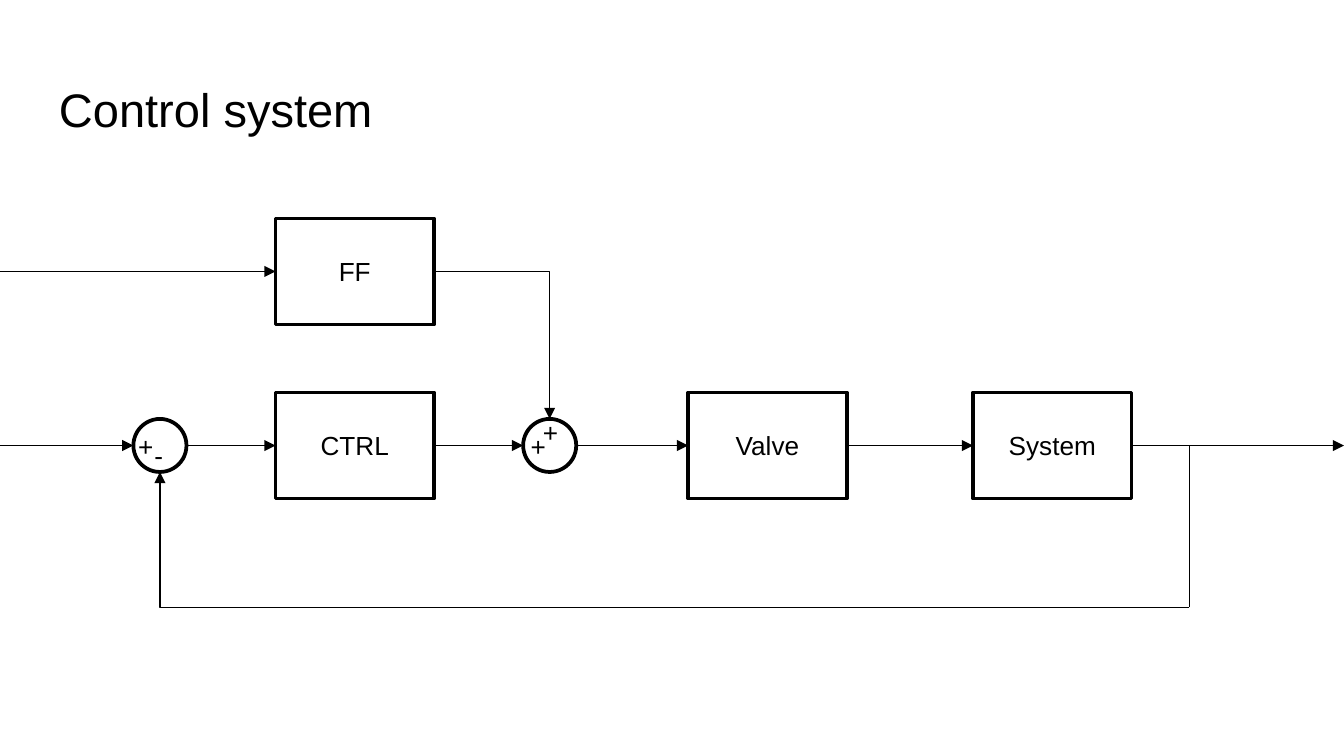
import pptx
import pptx.dml.color
import pptx.enum.shapes
import pptx.enum.text
import pptx.oxml
import pptx.oxml.ns
import pptx.util

BLACK = pptx.dml.color.RGBColor(0x00, 0x00, 0x00)
WHITE = pptx.dml.color.RGBColor(0xFF, 0xFF, 0xFF)
COLUMNS, ROWS = 100, 56.25
CELL = pptx.util.Inches(0.1)
BLOCK_WIDTH, BLOCK_HEIGHT, SUM_SIZE = 11.8, 7.9, 3.95
FORWARD_ROW, MAIN_ROW, RETURN_ROW = 20.2, 33.15, 45.2
ERROR_SUM, FORWARD_SUM, BRANCH = 11.9, 40.9, 88.5
CONTROL, VALVE, SYSTEM = 20.5, 51.2, 72.4


class Diagram:
    """Draws block diagram elements on one slide, in grid columns and rows."""

    body = {"name": "Arial", "size": pptx.util.Pt(14)}
    heading = {"name": "Arial", "size": pptx.util.Pt(25.2)}
    centred = {"vertical_anchor": pptx.enum.text.MSO_ANCHOR.MIDDLE, "word_wrap": True}

    def __init__(self, slide):
        self.slide = slide

    def lengths(self, *cells):
        return [round(cell * CELL) for cell in cells]

    def set_text(self, shape, text, font, frame):
        for name, value in frame.items():
            setattr(shape.text_frame, name, value)
        paragraph = shape.text_frame.paragraphs[0]
        paragraph.text = text
        for name, value in font.items():
            setattr(paragraph.font, name, value)
        paragraph.font.color.rgb = BLACK
        return paragraph

    def outline(self, kind, left, middle, width, height):
        box = self.lengths(left, middle - height / 2, width, height)
        shape = self.slide.shapes.add_shape(kind, *box)
        shape.shadow.inherit = False
        shape.fill.solid()
        shape.fill.fore_color.rgb = WHITE
        shape.line.color.rgb = BLACK
        shape.line.width = pptx.util.Pt(2)
        return shape

    def block(self, text, left, middle):
        kind = pptx.enum.shapes.MSO_SHAPE.RECTANGLE
        shape = self.outline(kind, left, middle, BLOCK_WIDTH, BLOCK_HEIGHT)
        paragraph = self.set_text(shape, text, self.body, self.centred)
        paragraph.alignment = pptx.enum.text.PP_ALIGN.CENTER

    def summing_point(self, centre):
        kind = pptx.enum.shapes.MSO_SHAPE.OVAL
        self.outline(kind, centre - SUM_SIZE / 2, MAIN_ROW, SUM_SIZE, SUM_SIZE)

    def label(self, text, left, top, width, height, font, frame):
        box = self.slide.shapes.add_textbox(*self.lengths(left, top, width, height))
        self.set_text(box, text, font, frame)

    def sign(self, text, left, top):
        self.label(text, left, top, 2.9, 3.5, self.body, {"word_wrap": True})

    def line(self, start, end, arrow=True, kind=pptx.enum.shapes.MSO_CONNECTOR.STRAIGHT):
        connector = self.slide.shapes.add_connector(kind, *self.lengths(*start, *end))
        connector.line.color.rgb = BLACK
        connector.line.width = pptx.util.Pt(0.75)
        properties = connector._element.spPr
        if arrow:
            head = pptx.oxml.parse_xml(
                f'<a:tailEnd {pptx.oxml.ns.nsdecls("a")} type="triangle"/>')
            properties.find(pptx.oxml.ns.qn("a:ln")).append(head)
        properties.append(pptx.oxml.parse_xml(
            f'<a:effectLst {pptx.oxml.ns.nsdecls("a")}/>'))
        return connector

    def corner(self, upper_left, lower_right, turned=False):
        elbow = pptx.enum.shapes.MSO_CONNECTOR.ELBOW
        connector = self.line(upper_left, lower_right, kind=elbow)
        properties = connector._element.spPr
        properties.find(pptx.oxml.ns.qn("a:prstGeom")).set("prst", "bentConnector2")
        if turned:
            properties.find(pptx.oxml.ns.qn("a:xfrm")).set("rot", str(180 * 60000))


def main():
    presentation = pptx.Presentation()
    presentation.slide_width = round(COLUMNS * CELL)
    presentation.slide_height = round(ROWS * CELL)
    slide = presentation.slides.add_slide(presentation.slide_layouts[6])
    diagram = Diagram(slide)

    margins = dict.fromkeys(
        ("margin_left", "margin_top", "margin_right", "margin_bottom"), CELL)
    title_frame = {"word_wrap": True, **margins,
                   "vertical_anchor": pptx.enum.text.MSO_ANCHOR.BOTTOM}
    diagram.label("Control system", 3.4, 4.9, 93.2, 6.3, diagram.heading, title_frame)

    diagram.block("FF", CONTROL, FORWARD_ROW)
    for text, left in (("CTRL", CONTROL), ("Valve", VALVE), ("System", SYSTEM)):
        diagram.block(text, left, MAIN_ROW)
    for centre in (FORWARD_SUM, ERROR_SUM):
        diagram.summing_point(centre)

    radius = SUM_SIZE / 2
    stations = [
        (ERROR_SUM - radius, ERROR_SUM + radius),
        (CONTROL, CONTROL + BLOCK_WIDTH),
        (FORWARD_SUM - radius, FORWARD_SUM + radius),
        (VALVE, VALVE + BLOCK_WIDTH),
        (SYSTEM, SYSTEM + BLOCK_WIDTH),
    ]
    starts = [0] + [right for left, right in stations]
    ends = [left for left, right in stations] + [COLUMNS]
    for start, end in zip(starts, ends):
        diagram.line((start, MAIN_ROW), (end, MAIN_ROW))

    diagram.line((0, FORWARD_ROW), (CONTROL, FORWARD_ROW))
    diagram.corner((CONTROL + BLOCK_WIDTH, FORWARD_ROW), (FORWARD_SUM, MAIN_ROW - radius))
    diagram.corner((ERROR_SUM, MAIN_ROW + radius), (BRANCH, RETURN_ROW), turned=True)
    diagram.line((BRANCH, MAIN_ROW), (BRANCH, RETURN_ROW), arrow=False)

    for text, left, top in (("+", 39.4, 30.5), ("+", 38.5, 31.5),
                            ("+", 9.3, 31.5), ("-", 10.5, 32.2)):
        diagram.sign(text, left, top)

    presentation.save("out.pptx")


if __name__ == "__main__":
    main()
